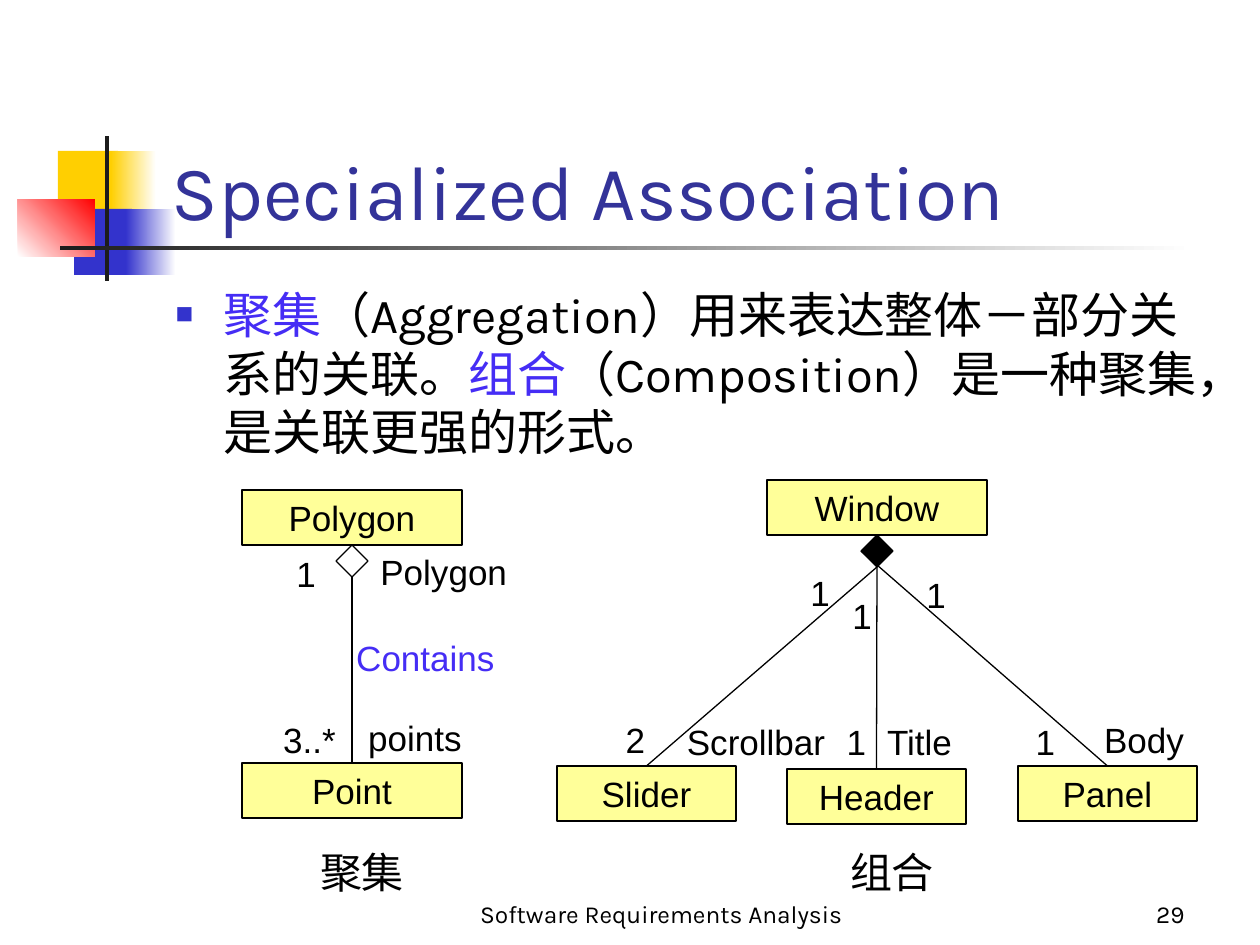
import pptx
import pptx.util
import pptx.dml.color
import pptx.enum.shapes
import pptx.enum.text
import pptx.oxml
import pptx.oxml.ns

SHAPE = pptx.enum.shapes.MSO_SHAPE
ALIGN = pptx.enum.text.PP_ALIGN
ANCHOR = pptx.enum.text.MSO_ANCHOR
BLACK, WHITE, ACCENT, BOX_FILL = "000000", "FFFFFF", "452DF5", "FFFF99"
BOX_HEIGHT, DIAMOND_SIZE = 55, 32

TITLE = "Specialized Association"
DEFINITION = [
    ("聚集", ACCENT),
    ("（Aggregation）用来表达整体－部分关系的关联。", BLACK),
    ("组合", ACCENT),
    ("（Composition）是一种聚集，是关联更强的形式。", BLACK),
]
ORNAMENTS = [
    ((58, 151, 60, 66), ["FFCF01"], 0),
    ((111, 151, 45, 66), ["FFCF01", WHITE], 0),
    ((74, 209, 58, 66), ["3333CC"], 0),
    ((126, 209, 50, 66), ["3333CC", WHITE], 0),
    ((18, 199, 77, 58), [WHITE, "FF0000"], 45),
    ((105, 136, 4, 145), ["1C1C1C"], 0),
    ((60, 246, 1134, 4), ["1C1C1C", WHITE], 0),
]
CLASSES = {
    "Polygon": (242, 490, 220),
    "Point": (242, 763, 220),
    "Window": (767, 480, 220),
    "Slider": (557, 766, 179),
    "Header": (787, 769, 179),
    "Panel": (1018, 766, 179),
}
WHOLES = [
    ("Polygon", WHITE, [("Point", 2)]),
    ("Window", BLACK, [("Slider", 2), ("Header", 2), ("Panel", 1)]),
]
LABELS = [
    ("1", 284, 546, 42, ALIGN.LEFT, BLACK),
    ("Polygon", 368, 544, 158, ALIGN.LEFT, BLACK),
    ("Contains", 336, 630, 179, ALIGN.CENTER, ACCENT),
    ("3..*", 262, 712, 95, ALIGN.CENTER, BLACK),
    ("points", 347, 710, 136, ALIGN.CENTER, BLACK),
    ("1", 798, 565, 42, ALIGN.LEFT, BLACK),
    ("1", 840, 588, 42, ALIGN.LEFT, BLACK),
    ("1", 914, 567, 42, ALIGN.LEFT, BLACK),
    ("2", 588, 712, 95, ALIGN.CENTER, BLACK),
    ("Scrollbar", 672, 714, 168, ALIGN.CENTER, BLACK),
    ("1", 809, 714, 95, ALIGN.CENTER, BLACK),
    ("Title", 872, 714, 95, ALIGN.CENTER, BLACK),
    ("1", 998, 714, 95, ALIGN.CENTER, BLACK),
    ("Body", 1081, 712, 126, ALIGN.CENTER, BLACK),
]
CAPTIONS = [("聚集", 231, 840, 262), ("组合", 766, 840, 252)]
FOOTERS = [
    ("Software Requirements Analysis", 462, 872, 399, ALIGN.CENTER),
    ("29", 935, 872, 262, ALIGN.RIGHT),
]


def px(*lengths):
    return [round(length * 914400 / 126) for length in lengths]


def rgb(color):
    return pptx.dml.color.RGBColor.from_string(color)


def write(frame, runs, size, font, align=ALIGN.LEFT, anchor=ANCHOR.TOP):
    frame.word_wrap = True
    frame.auto_size = pptx.enum.text.MSO_AUTO_SIZE.NONE
    frame.vertical_anchor = anchor
    paragraph = frame.paragraphs[0]
    paragraph.alignment = align
    paragraph.space_before = pptx.util.Pt(0)
    for text, color in runs:
        run = paragraph.add_run()
        run.text = text
        run.font.size = pptx.util.Pt(size)
        run.font.name = font
        run.font.color.rgb = rgb(color)
    return paragraph


def place(placeholder, *area):
    placeholder.left, placeholder.top, placeholder.width, placeholder.height = px(*area)
    return placeholder.text_frame


def add_text(slide, text, area, size, font, align, anchor=ANCHOR.TOP, color=BLACK):
    frame = slide.shapes.add_textbox(*px(*area)).text_frame
    write(frame, [(text, color)], size, font, align, anchor)


def add_bullet(paragraph):
    properties = paragraph._p.get_or_add_pPr()
    indent = px(48)[0]
    properties.set("marL", str(indent))
    properties.set("indent", str(-indent))
    namespace = pptx.oxml.ns.nsdecls("a")
    for element in (
        f'<a:buClr {namespace}><a:srgbClr val="3333CC"/></a:buClr>',
        f'<a:buSzPct {namespace} val="60000"/>',
        f'<a:buChar {namespace} char="■"/>',
    ):
        properties.append(pptx.oxml.parse_xml(element))


def add_ornament(slide, area, colors, angle):
    ornament = slide.shapes.add_shape(SHAPE.RECTANGLE, *px(*area))
    ornament.shadow.inherit = False
    ornament.line.fill.background()
    if len(colors) == 1:
        ornament.fill.solid()
        ornament.fill.fore_color.rgb = rgb(colors[0])
        return
    ornament.fill.gradient()
    ornament.fill.gradient_angle = angle
    for stop, color in zip(ornament.fill.gradient_stops, colors):
        stop.color.rgb = rgb(color)


def add_outlined(slide, preset, area, fill):
    outlined = slide.shapes.add_shape(preset, *px(*area))
    outlined.shadow.inherit = False
    outlined.fill.solid()
    outlined.fill.fore_color.rgb = rgb(fill)
    outlined.line.color.rgb = rgb(BLACK)
    outlined.line.width = pptx.util.Pt(0.75)
    return outlined


def add_link(slide, diamond, side, part):
    link = slide.shapes.add_connector(pptx.enum.shapes.MSO_CONNECTOR.STRAIGHT, 0, 0, 0, 0)
    link.begin_connect(diamond, side)
    link.end_connect(part, 0)
    link.line.color.rgb = rgb(BLACK)
    link.line.width = pptx.util.Pt(0.75)
    effects = pptx.oxml.parse_xml(f'<a:effectLst {pptx.oxml.ns.nsdecls("a")}/>')
    link._element.spPr.append(effects)


def main():
    deck = pptx.Presentation()
    deck.slide_width, deck.slide_height = px(1260, 945)
    slide = deck.slides.add_slide(deck.slide_layouts[1])

    for ornament in ORNAMENTS:
        add_ornament(slide, *ornament)

    title = place(slide.shapes.title, 159, 159, 1074, 83)
    write(title, [(TITLE, "333399")], 44, "Karla", anchor=ANCHOR.BOTTOM)
    body = place(slide.placeholders[1], 163, 278, 1071, 567)
    add_bullet(write(body, DEFINITION, 28, "Karla"))

    boxes = {}
    for name, (left, top, width) in CLASSES.items():
        area = (left, top, width, BOX_HEIGHT)
        boxes[name] = add_outlined(slide, SHAPE.RECTANGLE, area, BOX_FILL)
        write(boxes[name].text_frame, [(name, BLACK)], 20, "Arial", ALIGN.CENTER, ANCHOR.MIDDLE)

    for whole, fill, parts in WHOLES:
        left, top, width = CLASSES[whole]
        area = (left + (width - DIAMOND_SIZE) / 2, top + BOX_HEIGHT, DIAMOND_SIZE, DIAMOND_SIZE)
        diamond = add_outlined(slide, SHAPE.FLOWCHART_DECISION, area, fill)
        for part, side in parts:
            add_link(slide, diamond, side, boxes[part])

    for text, left, top, width, align, color in LABELS:
        add_text(slide, text, (left, top, width, BOX_HEIGHT), 20, "Arial", align, color=color)
    for text, left, top, width in CAPTIONS:
        add_text(slide, text, (left, top, width, 63), 24, "DejaVu Sans", ALIGN.CENTER)
    for text, left, top, width, align in FOOTERS:
        add_text(slide, text, (left, top, width, 63), 14, "Karla", align, ANCHOR.BOTTOM)

    deck.save("out.pptx")


if __name__ == "__main__":
    main()
